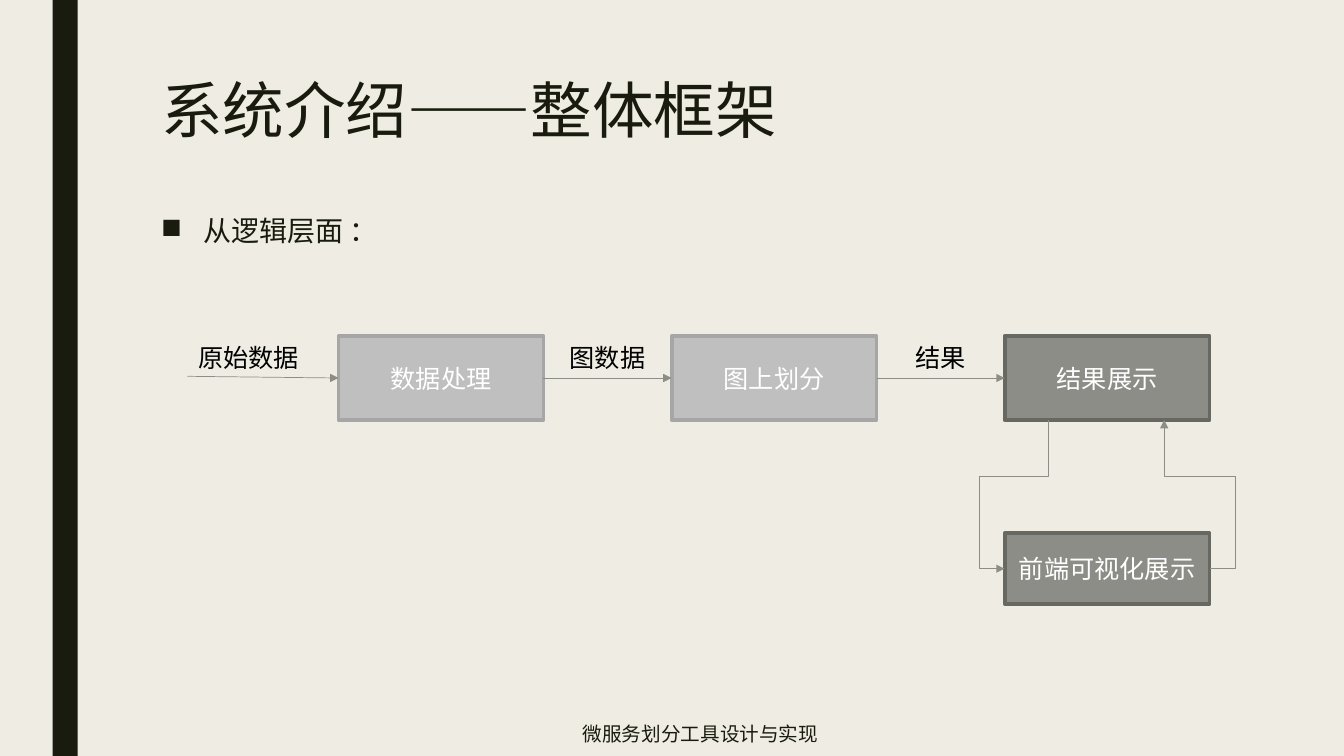
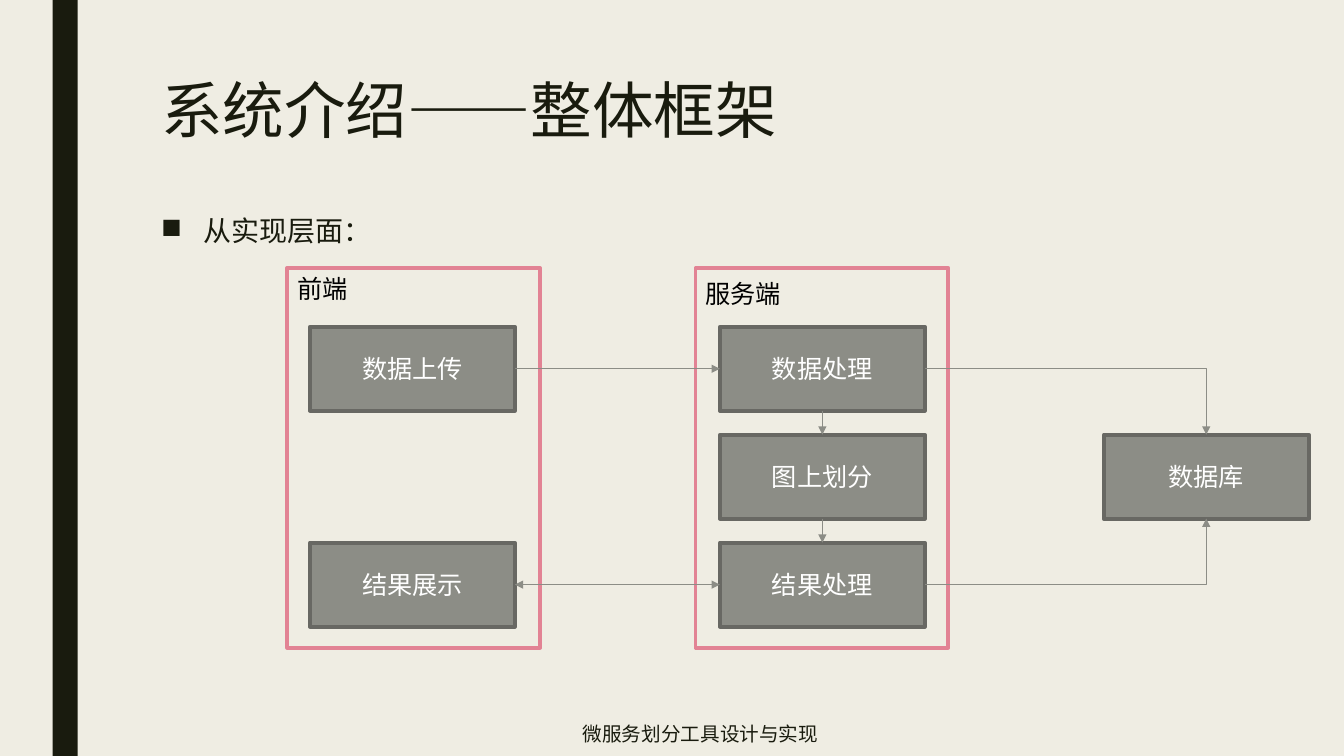
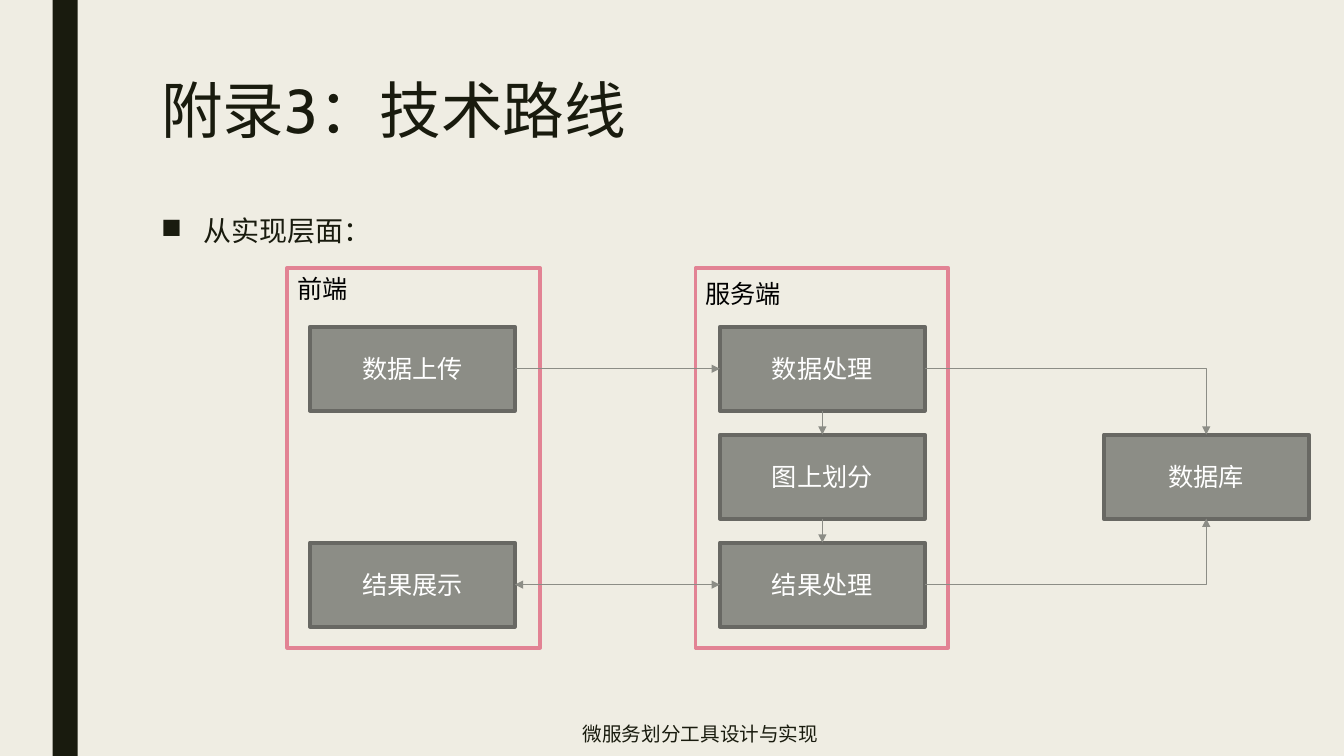
import pptx
import pptx.dml.color
import pptx.enum.shapes
import pptx.enum.text
import pptx.oxml
import pptx.util

GRID = pptx.util.Pt(6)  # the slide is 160 columns by 90 rows
COLS, ROWS = 160, 90
FONT = "Cabin"
PAPER, INK, BLACK, WHITE = "EFEDE3", "191B0E", "000000", "FFFFFF"
GREY, GREY_EDGE = "8C8D86", "686863"
PALE, PALE_EDGE = "BFBFBF", "A6A6A6"
PINK = "E28394"
NODE_W, NODE_H = 24.4, 10
FOOTER = "微服务划分工具设计与实现"

ALIGN = pptx.enum.text.PP_ALIGN
ANCHOR = pptx.enum.text.MSO_ANCHOR
CONNECTOR = pptx.enum.shapes.MSO_CONNECTOR
# side: (connection site, share of width, share of height)
SIDES = {"top": (0, 0.5, 0), "left": (1, 0, 0.5),
         "bottom": (2, 0.5, 1), "right": (3, 1, 0.5)}


def g(cells):
    return int(round(cells * GRID))


def rgb(value):
    return pptx.dml.color.RGBColor.from_string(value)


def add_xml(parent, tag, **attributes):
    child = parent.makeelement(pptx.oxml.ns.qn(tag), attributes)
    parent.append(child)
    return child


def write(shape, text, size=18, color=BLACK, align=ALIGN.LEFT,
          anchor=ANCHOR.TOP, spacing=None, after=None, bullet=None,
          wrap=True):
    tf = shape.text_frame
    tf.word_wrap = wrap
    tf.vertical_anchor = anchor
    p = tf.paragraphs[0]
    p.alignment = align
    if spacing:
        p.line_spacing = spacing
    if after:
        p.space_after = pptx.util.Pt(after)
    if bullet:
        indent = g(5)
        pPr = p._p.get_or_add_pPr()
        pPr.set("marL", str(indent))
        pPr.set("indent", str(-indent))
        add_xml(pPr, "a:buChar", char=bullet)
    r = p.add_run()
    r.text = text
    r.font.name = FONT
    r.font.size = pptx.util.Pt(size)
    r.font.color.rgb = rgb(color)


class Deck:
    """Holds the shared style and the slide being built."""

    def __init__(self):
        self.prs = pptx.Presentation()
        self.prs.slide_width = g(COLS)
        self.prs.slide_height = g(ROWS)
        self.s = None

    def slide(self, title, lead):
        self.s = self.prs.slides.add_slide(self.prs.slide_layouts[6])
        fill = self.s.background.fill
        fill.solid()
        fill.fore_color.rgb = rgb(PAPER)
        self.rect(6.25, 0, 3, ROWS, fill=INK)
        self.text(title, 18, 9, 126, 19.4, size=44, color=INK, spacing=0.89)
        self.text(lead, 18, 25.2, 126, 5.2, size=20, color=INK,
                  spacing=0.94, after=2, bullet="■")
        self.text(FOOTER, 67.3, 85, 32.2, 5, size=14, color=INK,
                  spacing=0.89, align=ALIGN.CENTER, anchor=ANCHOR.MIDDLE)

    def text(self, text, x, y, w, h, **style):
        sp = self.s.shapes.add_textbox(g(x), g(y), g(w), g(h))
        write(sp, text, **style)

    def label(self, text, x, y, centred=False):
        """One line, as wide as its characters; x is its left or its middle."""
        w = 2.4 + 3 * len(text)
        self.text(text, x - w / 2 if centred else x, y, w, 4.8,
                  align=ALIGN.CENTER, wrap=False)

    def rect(self, x, y, w, h, fill=None, edge=None):
        sp = self.s.shapes.add_shape(
            pptx.enum.shapes.MSO_SHAPE.RECTANGLE, g(x), g(y), g(w), g(h))
        sp.shadow.inherit = False
        if fill:
            sp.fill.solid()
            sp.fill.fore_color.rgb = rgb(fill)
        else:
            sp.fill.background()
        if edge:
            sp.line.color.rgb = rgb(edge)
            sp.line.width = pptx.util.Pt(2.75)
        else:
            sp.line.fill.background()
        return sp

    def node(self, text, x, y, h=NODE_H, fill=GREY, edge=GREY_EDGE):
        sp = self.rect(x, y, NODE_W, h, fill, edge)
        write(sp, text, color=WHITE, align=ALIGN.CENTER, anchor=ANCHOR.MIDDLE)
        return sp

    def arrow(self, start, end, bend=None, adjust=(), turned=False,
              both=False):
        """Join two ends, each (column, row) or (shape, side).

        bend names a preset with corners; turned rotates it by 90 degrees.
        """
        (x1, y1), (x2, y2) = self.point(start), self.point(end)
        kind = CONNECTOR.ELBOW if bend else CONNECTOR.STRAIGHT
        c = self.s.shapes.add_connector(kind, x1, y1, x2, y2)
        if isinstance(start[1], str):
            c.begin_connect(start[0], SIDES[start[1]][0])
        if isinstance(end[1], str):
            c.end_connect(end[0], SIDES[end[1]][0])
        spPr = c._element.spPr
        if turned:
            w, h = y2 - y1, x1 - x2
            c.left, c.top = (x1 + x2 - w) // 2, (y1 + y2 - h) // 2
            c.width, c.height = w, h
            xfrm = spPr.find(pptx.oxml.ns.qn("a:xfrm"))
            xfrm.attrib.pop("flipH", None)
            xfrm.set("rot", "5400000")
        if bend:
            geom = spPr.find(pptx.oxml.ns.qn("a:prstGeom"))
            geom.set("prst", bend)
            guides = geom.find(pptx.oxml.ns.qn("a:avLst"))
            for i, share in enumerate(adjust, 1):
                add_xml(guides, "a:gd", name=f"adj{i}",
                        fmla=f"val {round(share * 100000)}")
        c.line.color.rgb = rgb(GREY)
        c.line.width = pptx.util.Pt(0.5)
        ln = c.line._get_or_add_ln()
        if both:
            add_xml(ln, "a:headEnd", type="triangle")
        add_xml(ln, "a:tailEnd", type="triangle")
        add_xml(spPr, "a:effectLst")

    def point(self, end):
        place, side = end
        if not isinstance(side, str):
            return g(place), g(side)
        _, across, down = SIDES[side]
        return (int(place.left + place.width * across),
                int(place.top + place.height * down))


def logical_view(deck):
    left, top, step = 40.3, 40, 39.65
    pale = {"fill": PALE, "edge": PALE_EDGE}
    process = deck.node("数据处理", left, top, **pale)
    split = deck.node("图上划分", left + step, top, **pale)
    result = deck.node("结果展示", left + 2 * step, top)
    front = deck.node("前端可视化展示", left + 2 * step, 63.5, h=8.4)

    deck.arrow((22.3, 44.8), (process, "left"))
    deck.arrow((process, "right"), (split, "left"))
    deck.arrow((split, "right"), (result, "left"))
    deck.label("原始数据", 29.6, 40.2, centred=True)
    gap_middle = left + (NODE_W + step) / 2
    deck.label("图数据", gap_middle, 40.2, centred=True)
    deck.label("结果", gap_middle + step, 40.2, centred=True)

    deck.arrow((124.8, 50), (front, "left"), bend="bentConnector4",
               adjust=(0.38, 1.58), turned=True)
    deck.arrow((front, "right"), (138.6, 50), bend="bentConnector4",
               adjust=(-0.56, 0.62))


def implementation_view(deck):
    front_x, server_x, store_x = 36.9, 85.7, 131.4
    rows = [38.9 + 12.85 * i for i in range(3)]
    for name, x, label_y in (("前端", 34.2, 31.9), ("服务端", 82.8, 32.5)):
        deck.rect(x, 31.9, 30.1, 45.2, edge=PINK)
        deck.label(name, x, label_y)

    upload = deck.node("数据上传", front_x, rows[0])
    show = deck.node("结果展示", front_x, rows[2])
    process, split, result = [
        deck.node(text, server_x, y)
        for text, y in zip(("数据处理", "图上划分", "结果处理"), rows)]
    store = deck.node("数据库", store_x, rows[1])

    deck.arrow((upload, "right"), (process, "left"))
    deck.arrow((process, "bottom"), (split, "top"))
    deck.arrow((split, "bottom"), (result, "top"))
    deck.arrow((show, "right"), (result, "left"), both=True)
    deck.arrow((process, "right"), (store, "top"), bend="bentConnector2")
    deck.arrow((result, "right"), (store, "bottom"), bend="bentConnector2")


def main():
    deck = Deck()
    deck.slide("系统介绍——整体框架", "从逻辑层面 ：")
    logical_view(deck)
    for title in ("系统介绍——整体框架", "附录3：技术路线"):
        deck.slide(title, "从实现层面：")
        implementation_view(deck)
    deck.prs.save("out.pptx")


if __name__ == "__main__":
    main()
